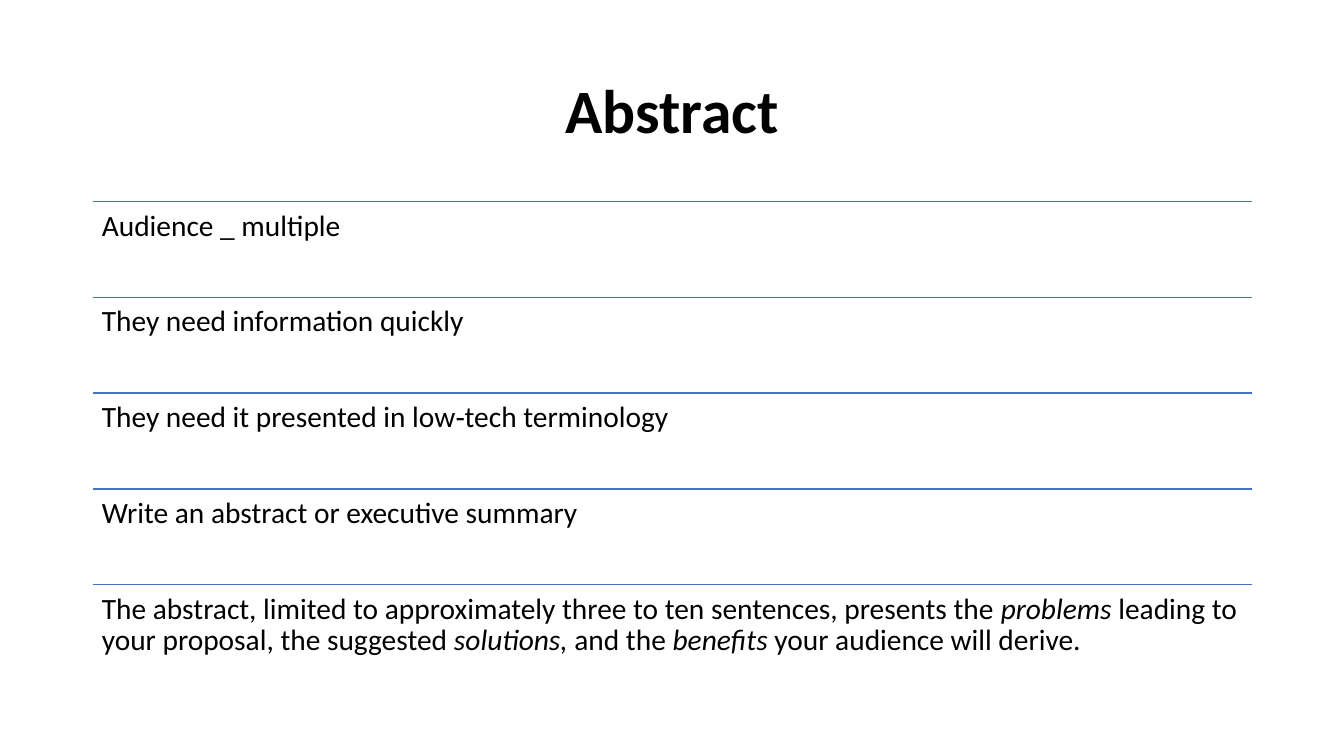
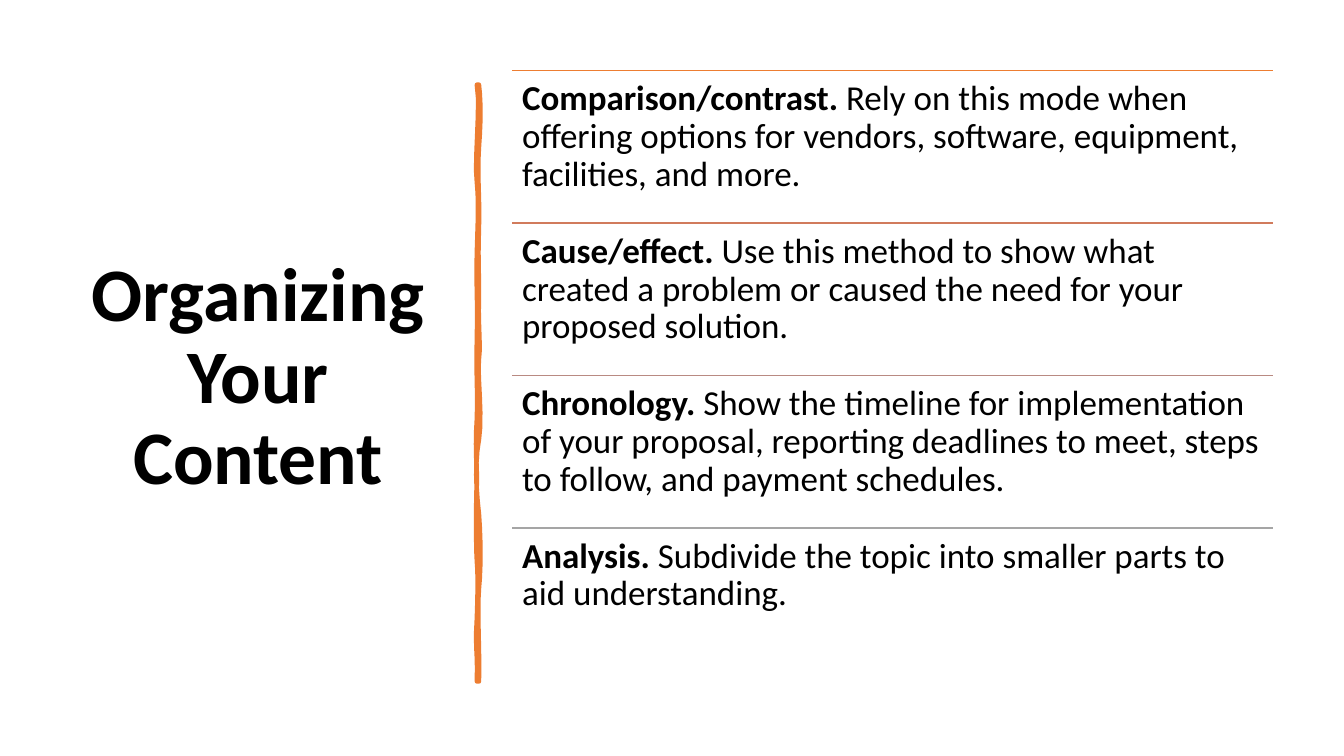
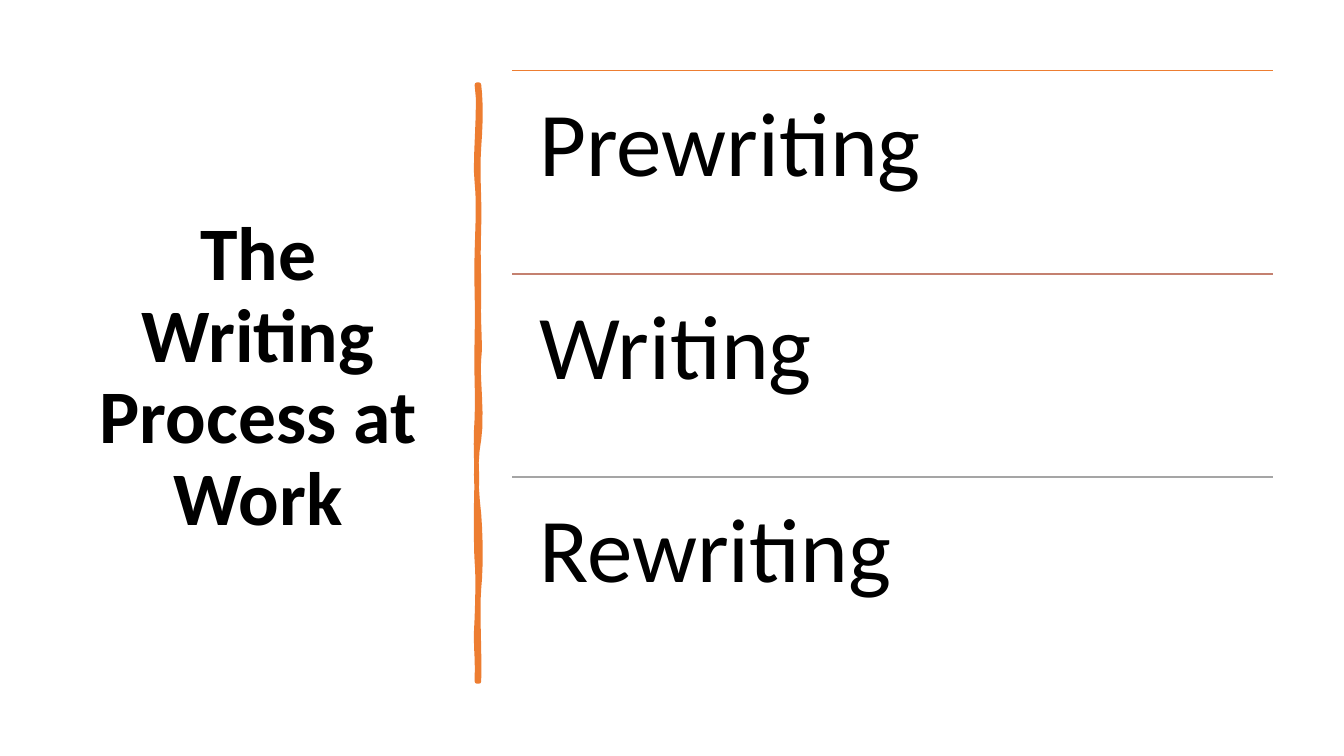
from lxml import etree
from pptx import Presentation
from pptx import util as u
from pptx.dml.color import RGBColor
from pptx.enum import shapes, text
from pptx.oxml.ns import qn

PX = 9144  # EMU in one px, 100 px to the inch
FONT = "Calibri"
COLORS = {
    "ink": "000000", "blue": "4472C4", "orange": "ED7D31", "clay": "D17B5C",
    "rust": "C48170", "mauve": "B98A82", "gray": "A5A5A5",
}
SIDE_ROWS = (508, 70, 755, 605)

# Hand-drawn bar: start point, then two controls and an end point per curve
BAR_START = (475, 84)
BAR_CURVES = [
    (477, 102, 477, 119, 475, 146), (473, 173, 476, 195, 475, 226),
    (474, 257, 475, 262, 475, 294), (474, 325, 477, 342, 475, 356),
    (473, 370, 479, 414, 475, 436), (471, 457, 472, 484, 475, 510),
    (477, 536, 477, 564, 475, 584), (473, 603, 476, 650, 475, 676),
    (474, 676, 473, 676, 473, 676), (474, 646, 471, 644, 473, 613),
    (474, 583, 474, 570, 473, 557), (472, 544, 472, 495, 473, 477),
    (473, 459, 471, 445, 473, 415), (474, 386, 472, 373, 473, 335),
    (474, 298, 472, 281, 473, 250), (474, 218, 475, 200, 473, 181),
    (470, 163, 477, 104, 473, 84), (474, 84, 474, 84, 475, 84),
]


def px(value):
    return u.Emu(round(value * PX))


def color(name):
    return RGBColor.from_string(COLORS[name])


def add_text(page, spans, area, *, size, bold=False, align=text.PP_ALIGN.LEFT,
             anchor=text.MSO_ANCHOR.TOP, inset=(10, 5)):
    """Place one paragraph made of (words, style) spans; style is "", "b" or "i"."""
    box = page.shapes.add_textbox(*map(px, area))
    frame = box.text_frame
    frame.word_wrap = True
    frame.vertical_anchor = anchor
    frame.margin_left = frame.margin_right = px(inset[0])
    frame.margin_top = frame.margin_bottom = px(inset[1])
    para = frame.paragraphs[0]
    para.alignment = align
    para.line_spacing = 0.9
    for words, style in spans:
        span = para.add_run()
        span.text = words
        span.font.name = FONT
        span.font.size = u.Pt(size)
        span.font.color.rgb = color("ink")
        span.font.bold = bold or style == "b"
        span.font.italic = style == "i"


def add_title(page, words, area, size):
    add_text(page, [(words, "")], area, size=size, bold=True,
             align=text.PP_ALIGN.CENTER, anchor=text.MSO_ANCHOR.MIDDLE)


def add_rule(page, left, top, width, tint):
    rule = page.shapes.add_connector(
        shapes.MSO_CONNECTOR.STRAIGHT, px(left), px(top), px(left + width), px(top))
    rule.line.color.rgb = color(tint)
    rule.line.width = u.Pt(1)
    etree.SubElement(rule.element.spPr, qn("a:effectLst"))


def add_rows(page, rows, tints, area, size, inset):
    """Divide the area into equal rows, each under a rule."""
    left, top, width, height = area
    step = height / len(rows)
    for index, (spans, tint) in enumerate(zip(rows, tints)):
        row_top = top + index * step
        add_rule(page, left, row_top, width, tint)
        add_text(page, spans, (left, row_top, width, step), size=size,
                 inset=(inset, inset))


def curve_points(start, curves, steps=6):
    """Flatten cubic curves into points."""
    x0, y0 = start
    for x1, y1, x2, y2, x3, y3 in curves:
        for step in range(1, steps + 1):
            t = step / steps
            weights = ((1 - t) ** 3, 3 * t * (1 - t) ** 2, 3 * t * t * (1 - t), t ** 3)
            yield tuple(px(sum(w * v for w, v in zip(weights, values)))
                        for values in ((x0, x1, x2, x3), (y0, y1, y2, y3)))
        x0, y0 = x3, y3


def add_bar(page):
    builder = page.shapes.build_freeform(*map(px, BAR_START))
    builder.add_line_segments(curve_points(BAR_START, BAR_CURVES), close=True)
    bar = builder.convert_to_shape()
    bar.shadow.inherit = False
    bar.fill.solid()
    bar.fill.fore_color.rgb = color("orange")
    bar.line.color.rgb = color("orange")
    bar.line.width = u.Pt(3.25)
    etree.SubElement(bar.line._get_or_add_ln(), qn("a:round"))


def add_page(deck):
    return deck.slides.add_slide(deck.slide_layouts[6])


def add_side_page(deck, title, rows, tints, size, inset):
    """Title on the left, bar, and rows on the right."""
    page = add_page(deck)
    add_title(page, title, (69, 70, 374, 611), 54)
    add_bar(page)
    add_rows(page, rows, tints, SIDE_ROWS, size, inset)


def main():
    deck = Presentation()
    deck.slide_width, deck.slide_height = px(1333), px(750)

    # Abstract
    page = add_page(deck)
    add_title(page, "Abstract", (92, 40, 1150, 145), 44)
    rows = [
        [("Audience _ multiple", "")],
        [("They need information quickly", "")],
        [("They need it presented in low‐tech terminology", "")],
        [("Write an abstract or executive summary", "")],
        [("The abstract, limited to approximately three to ten sentences, "
          "presents the ", ""), ("problems ", "i"),
         ("leading to your proposal, the suggested ", ""), ("solutions, ", "i"),
         ("and the ", ""), ("benefits ", "i"), ("your audience will derive.", "")],
    ]
    add_rows(page, rows, ["blue"] * len(rows), (92, 200, 1150, 475), 21, 9)

    # Organizing content
    modes = [
        ("Comparison/contrast. ", "Rely on this mode when offering options for "
         "vendors, software, equipment, facilities, and more."),
        ("Cause/effect. ", "Use this method to show what created a problem or "
         "caused the need for your proposed solution."),
        ("Chronology. ", "Show the timeline for implementation of your proposal, "
         "reporting deadlines to meet, steps to follow, and payment schedules."),
        ("Analysis. ", "Subdivide the topic into smaller parts to aid understanding."),
    ]
    add_side_page(deck, "Organizing Your Content",
                  [[(name, "b"), (advice, "")] for name, advice in modes],
                  ["orange", "clay", "mauve", "gray"], size=25, inset=10)

    # Writing process
    stages = ["Prewriting", "Writing", "Rewriting"]
    add_side_page(deck, "The Writing Process at Work",
                  [[(stage, "")] for stage in stages],
                  ["orange", "rust", "gray"], size=65, inset=27)

    deck.save("out.pptx")


if __name__ == "__main__":
    main()
